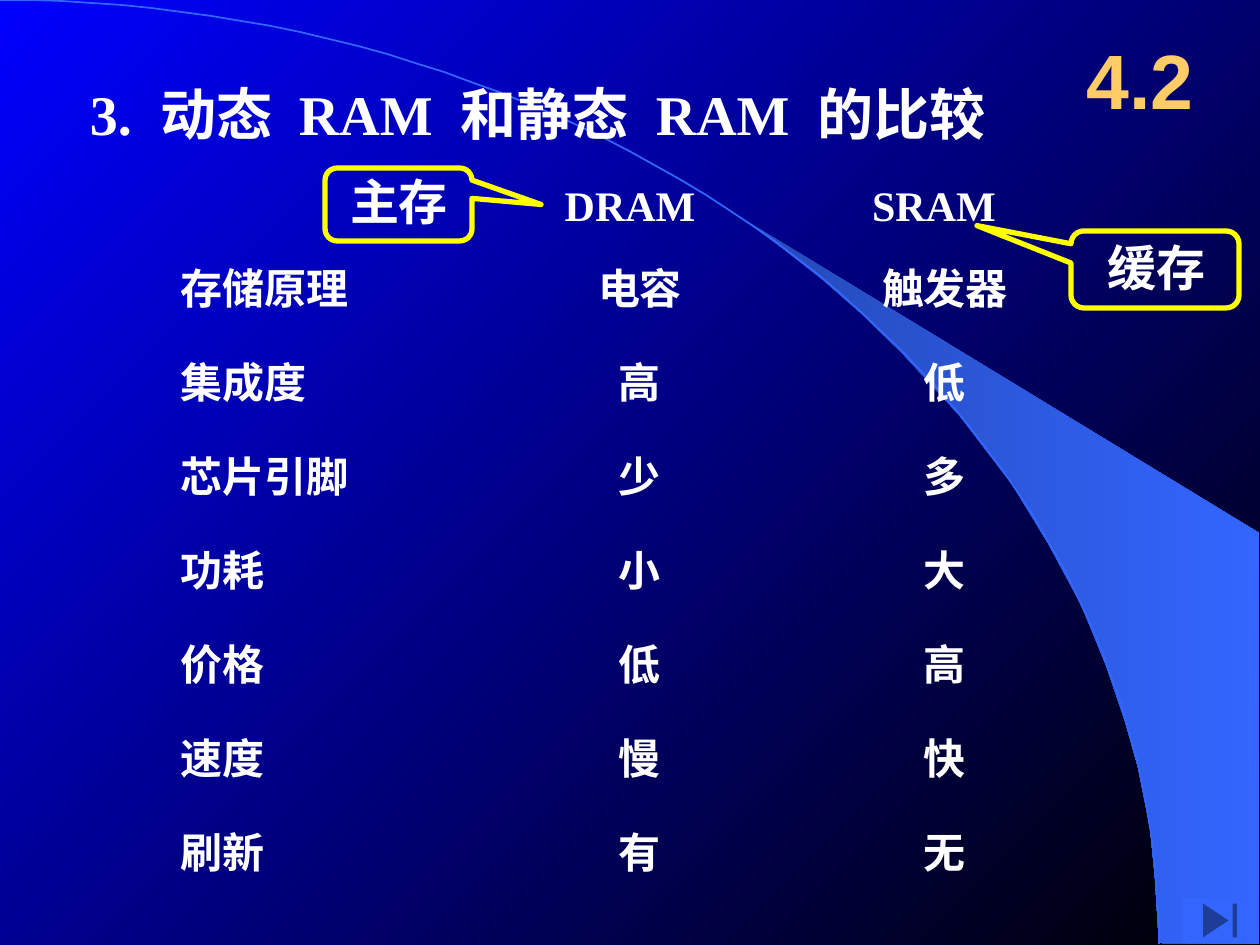
import math

import pptx
import pptx.dml.color
import pptx.enum.shapes
import pptx.enum.text
import pptx.util

SHAPE = pptx.enum.shapes.MSO_SHAPE
ALIGN = pptx.enum.text.PP_ALIGN
ANCHOR = pptx.enum.text.MSO_ANCHOR
AUTO = pptx.enum.text.MSO_AUTO_SIZE
SCALE = 914400 / 126

WHITE, YELLOW, GOLD, BLUE = "FFFFFF", "FFFF00", "FFCC66", "3366FF"
SERIF, SANS = "Times New Roman", "Arial"


def emu(px):
    return pptx.util.Emu(round(px * SCALE))


def rgb(value):
    return pptx.dml.color.RGBColor.from_string(value)


def gradient(fill, start, end, angle):
    """Two-colour linear gradient; angle runs counter-clockwise."""
    fill.gradient()
    fill.gradient_angle = angle
    for stop, color in zip(fill.gradient_stops, (start, end)):
        stop.color.rgb = rgb(color)


class Deck:
    """Holds the style and the current slide."""

    def __init__(self, width, height):
        self.prs = pptx.Presentation()
        self.prs.slide_width, self.prs.slide_height = emu(width), emu(height)

    def add_slide(self):
        self.s = self.prs.slides.add_slide(self.prs.slide_layouts[5])
        gradient(self.s.background.fill, "0000FF", "000000", 315)

    def run(self, p, text, size, color=WHITE, font=SERIF):
        r = p.add_run()
        r.text = text
        r.font.size = pptx.util.Pt(size)
        r.font.name, r.font.bold = font, True
        r.font.color.rgb = rgb(color)
        return r

    def title(self, text, box, size, indent):
        """Title whose word gaps are widened by character spacing."""
        sp = self.s.shapes.title
        self.s.shapes._spTree.append(sp._element)  # in front of the backdrop
        sp.left, sp.top, sp.width, sp.height = map(emu, box)
        tf = sp.text_frame
        tf.word_wrap, tf.auto_size = True, AUTO.NONE
        tf.vertical_anchor = ANCHOR.TOP
        tf.margin_left = emu(indent)
        p = tf.paragraphs[0]
        p.alignment = ALIGN.LEFT
        for i, word in enumerate(text.split()):
            if i:
                gap = self.run(p, " ", size)
                gap.font._element.set("spc", str(size * 25))
            self.run(p, word, size)

    def text(self, text, box, size=24, align=ALIGN.CENTER, grow=True, **font):
        tf = self.s.shapes.add_textbox(*map(emu, box)).text_frame
        tf.word_wrap = True
        tf.auto_size = AUTO.SHAPE_TO_FIT_TEXT if grow else AUTO.NONE
        tf.vertical_anchor = ANCHOR.TOP if grow else ANCHOR.MIDDLE
        p = tf.paragraphs[0]
        p.alignment = align
        self.run(p, text, size, **font)

    def callout(self, text, box, tip, text_box):
        """Rounded callout; tip is the pointer offset as a share of the size."""
        sp = self.s.shapes.add_shape(
            SHAPE.ROUNDED_RECTANGULAR_CALLOUT, *map(emu, box))
        sp.shadow.inherit = False
        sp.adjustments[0], sp.adjustments[1] = tip
        sp.fill.background()
        sp.line.color.rgb = rgb(YELLOW)
        sp.line.width = pptx.util.Pt(3)
        self.text(text, text_box, 28)

    def outline(self, points, close):
        builder = self.s.shapes.build_freeform(*points[0], scale=SCALE)
        builder.add_line_segments(points[1:], close=close)
        sp = builder.convert_to_shape()
        sp.shadow.inherit = False
        return sp

    def beam(self, points):
        sp = self.outline(points, True)
        gradient(sp.fill, "2449B6", BLUE, 0)
        sp.line.fill.background()

    def arc(self, width, height, steps=60):
        """Quarter ellipse from the top left corner to the bottom edge."""
        angles = [math.pi / 2 * i / steps for i in range(steps + 1)]
        sp = self.outline([(round(width * math.sin(a)),
                            round(height * (1 - math.cos(a))))
                           for a in angles], False)
        sp.fill.background()
        sp.line.color.rgb = rgb(BLUE)
        sp.line.width = pptx.util.Pt(1)

    def end_button(self, box):
        sp = self.s.shapes.add_shape(SHAPE.ACTION_BUTTON_END, *map(emu, box))
        sp.shadow.inherit = False
        sp.fill.solid()
        sp.fill.fore_color.rgb = rgb(BLUE)
        sp.line.fill.background()


BEAM = [(1159, 943), (1259, 944), (1259, 533), (742, 218), (786, 251),
        (823, 280), (863, 315), (902, 353), (960, 416), (1012, 484),
        (1048, 543), (1081, 604), (1106, 665), (1125, 721), (1138, 767),
        (1150, 827), (1155, 877)]

ROWS = [("存储原理", "电容", "触发器"),
        ("集成度", "高", "低"),
        ("芯片引脚", "少", "多"),
        ("功耗", "小", "大"),
        ("价格", "低", "高"),
        ("速度", "慢", "快"),
        ("刷新", "有", "无")]
COLUMNS = [(168, ALIGN.LEFT), (472, ALIGN.CENTER), (777, ALIGN.CENTER)]
CELL_W, CELL_H = 336, 63
FIRST_ROW, ROW_STEP = 256, 94


def main():
    deck = Deck(1260, 945)
    deck.add_slide()
    deck.beam(BEAM)
    deck.arc(1159, 944)
    deck.title("3. 动态 RAM 和静态 RAM 的比较", (63, 73, 945, 79), 32, 27)

    for x, heading in ((462, "DRAM"), (766, "SRAM")):
        deck.text(heading, (x, 173, CELL_W, CELL_H))
    for i, row in enumerate(ROWS):
        for (x, align), value in zip(COLUMNS, row):
            y = FIRST_ROW + i * ROW_STEP
            deck.text(value, (x, y, CELL_W, CELL_H), align=align)

    deck.callout("主存", (325, 168, 147, 73), (0.97, 0), (334, 165, 130, 72))
    deck.callout("缓存", (1071, 231, 168, 77), (-1.06, -0.57),
                 (1091, 231, 131, 72))
    deck.text("4.2", (1061, 21, 158, 116), 44, grow=False,
              color=GOLD, font=SANS)
    deck.end_button((1183, 898, 74, 45))
    deck.prs.save("out.pptx")


if __name__ == "__main__":
    main()
